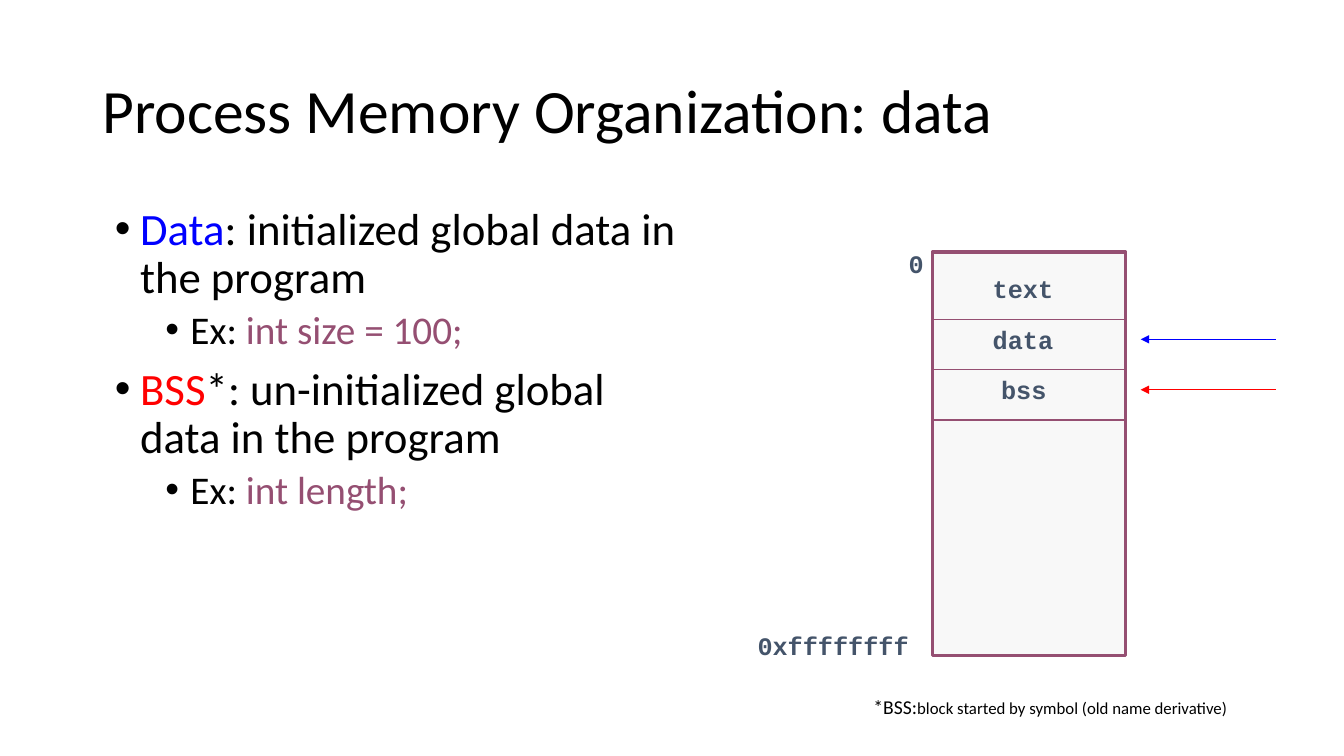
"""Build the process memory organization slide on a grid of twelfths of an inch."""
from typing import NamedTuple

from lxml import etree
from pptx import Presentation
from pptx import util as u
from pptx.dml.color import RGBColor
from pptx.enum import shapes, text
from pptx.oxml.ns import qn

COLUMNS, ROWS = 160, 90
BODY_FONT, CODE_FONT = "Calibri", "Courier New"
BLACK, BLUE, RED = "000000", "0000FF", "FF0000"
PLUM, SLATE, PALE = "954F72", "44546A", "F8F8F8"
MEMORY_LEFT, MEMORY_RIGHT, MEMORY_TOP, MEMORY_BOTTOM = 111, 134, 30, 78
ARROW_START, ARROW_END = 151.9, 135.8


class Area(NamedTuple):
    left: float
    top: float
    width: float
    height: float


class Span(NamedTuple):
    words: str
    color: str = BLACK
    size: float | None = None


class Bullet(NamedTuple):
    spans: list[Span]
    size: float
    indent: float
    level: int = 0
    before: float = 0


class Label(NamedTuple):
    words: str
    area: Area


class Line(NamedTuple):
    start: float
    end: float
    row: float
    color: str
    arrow: bool = False


BULLETS = [
    Bullet([Span("Data", BLUE), Span(": initialized global data in the program")], 32, 0.25),
    Bullet([Span("Ex: "), Span("int size = 100;", PLUM)], 28, 0.75, 1, 5),
    Bullet([Span("BSS", RED), Span("*: un-initialized global data in the program")], 32, 0.25, 0, 10),
    Bullet([Span("Ex: "), Span("int length;", PLUM)], 28, 0.75, 1, 5),
]
LABELS = [
    Label("0xffffffff", Area(89, 74.5, 20.5, 4.8)),
    Label("0", Area(107, 29, 5, 4.8)),
    Label("text", Area(117, 32, 14, 4.8)),
    Label("data", Area(117, 38, 13, 4.8)),
    Label("bss", Area(118, 44, 10, 4.8)),
]
LINES = [Line(MEMORY_LEFT, MEMORY_RIGHT, row, PLUM) for row in (38, 44, 50)] + [
    Line(ARROW_START, ARROW_END, 40.4, BLUE, True),
    Line(ARROW_START, ARROW_END, 46.4, RED, True),
]


def rgb(color: str) -> RGBColor:
    return RGBColor.from_string(color)


def grid(cells: float) -> u.Emu:
    return u.Inches(cells / 12)


def add_box(page, area: Area):
    frame = page.shapes.add_textbox(*map(grid, area)).text_frame
    frame.word_wrap = True
    return frame


def add_spans(para, spans: list[Span]) -> None:
    for span in spans:
        run = para.add_run()
        run.text = span.words
        run.font.color.rgb = rgb(span.color)
        if span.size:
            run.font.size = u.Pt(span.size)


def set_font(para, name: str, size: float, color: str = BLACK, bold: bool = False) -> None:
    para.font.name = name
    para.font.size = u.Pt(size)
    para.font.color.rgb = rgb(color)
    para.font.bold = bold


def add_title(page) -> None:
    frame = add_box(page, Area(11, 4.8, 138, 17.4))
    frame.vertical_anchor = text.MSO_ANCHOR.MIDDLE
    para = frame.paragraphs[0]
    para.text = "Process Memory Organization: data"
    para.line_spacing = 0.9
    set_font(para, BODY_FONT, 44)


def add_bullets(page, bullets: list[Bullet]) -> None:
    frame = add_box(page, Area(12.5, 24, 71.5, 54))
    for index, bullet in enumerate(bullets):
        para = frame.add_paragraph() if index else frame.paragraphs[0]
        para.level = bullet.level
        para.line_spacing = 0.9
        if bullet.before:
            para.space_before = u.Pt(bullet.before)
        properties = para._p.get_or_add_pPr()
        properties.set("marL", str(u.Inches(bullet.indent)))
        properties.set("indent", str(u.Inches(-0.25)))
        bullet_color = etree.SubElement(properties, qn("a:buClr"))
        etree.SubElement(bullet_color, qn("a:srgbClr"), val=BLACK)
        etree.SubElement(properties, qn("a:buFont"), typeface="Arial")
        etree.SubElement(properties, qn("a:buChar"), char="•")
        set_font(para, BODY_FONT, bullet.size)
        add_spans(para, bullet.spans)


def add_memory(page) -> None:
    area = Area(MEMORY_LEFT, MEMORY_TOP, MEMORY_RIGHT - MEMORY_LEFT, MEMORY_BOTTOM - MEMORY_TOP)
    memory = page.shapes.add_shape(shapes.MSO_SHAPE.RECTANGLE, *map(grid, area))
    memory.shadow.inherit = False
    memory.fill.solid()
    memory.fill.fore_color.rgb = rgb(PALE)
    memory.line.color.rgb = rgb(PLUM)
    memory.line.width = u.Pt(2.25)


def add_label(page, label: Label) -> None:
    para = add_box(page, label.area).paragraphs[0]
    para.text = label.words
    set_font(para, CODE_FONT, 18, SLATE, True)


def add_line(page, line: Line) -> None:
    row = grid(line.row)
    connector = page.shapes.add_connector(
        shapes.MSO_CONNECTOR.STRAIGHT, grid(line.start), row, grid(line.end), row
    )
    connector.line.color.rgb = rgb(line.color)
    connector.line.width = u.Pt(0.75)
    if line.arrow:
        etree.SubElement(connector.line._get_or_add_ln(), qn("a:tailEnd"), type="triangle")
    etree.SubElement(connector._element.spPr, qn("a:effectLst"))


def add_footnote(page) -> None:
    frame = add_box(page, Area(102.8, 81.5, 47, 6.2))
    frame.margin_top = frame.margin_bottom = u.Inches(0.1)
    para = frame.paragraphs[0]
    set_font(para, BODY_FONT, 14)
    add_spans(para, [Span("*BSS:"), Span("block started by symbol (old name derivative)", size=12)])


def main() -> None:
    deck = Presentation()
    deck.slide_width, deck.slide_height = grid(COLUMNS), grid(ROWS)
    page = deck.slides.add_slide(deck.slide_layouts[6])
    add_title(page)
    add_bullets(page, BULLETS)
    add_memory(page)
    for line in LINES:
        add_line(page, line)
    for label in LABELS:
        add_label(page, label)
    add_footnote(page)
    deck.save("out.pptx")


if __name__ == "__main__":
    main()
